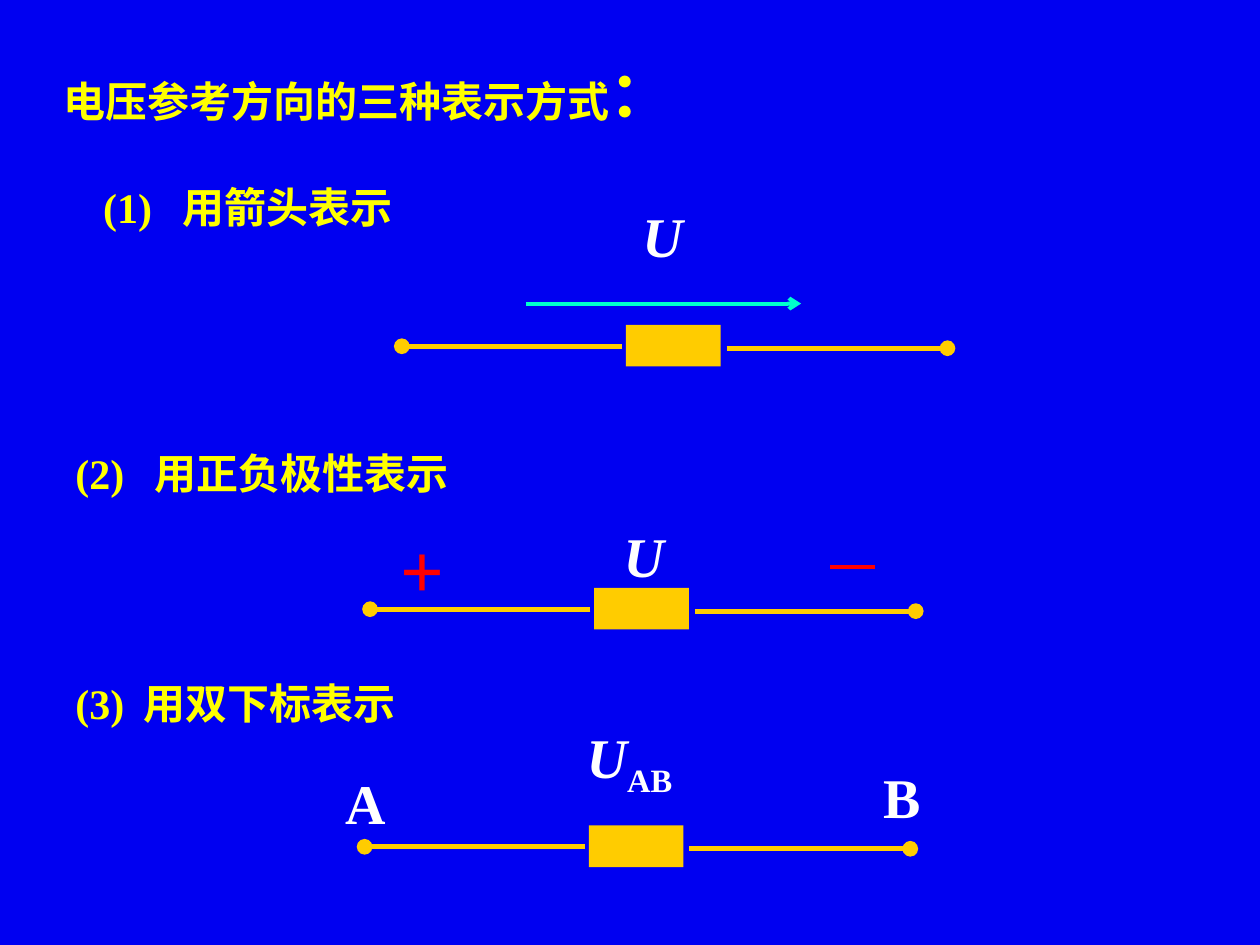
import pptx
import pptx.dml.color
import pptx.enum.shapes
import pptx.enum.text
import pptx.oxml.ns
import pptx.oxml.xmlchemy
import pptx.util
import lxml.etree

Cm = pptx.util.Cm
Pt = pptx.util.Pt
RGBColor = pptx.dml.color.RGBColor
PP_ALIGN = pptx.enum.text.PP_ALIGN
qn = pptx.oxml.ns.qn

BLUE = RGBColor(0x00, 0x00, 0xF1)
YELLOW = RGBColor(0xFF, 0xFF, 0x00)
GOLD = RGBColor(0xFF, 0xCC, 0x00)
CYAN = RGBColor(0x00, 0xFF, 0xCC)
RED = RGBColor(0xFF, 0x00, 0x00)
WHITE = RGBColor(0xFF, 0xFF, 0xFF)


class CircuitSlide:
    """Holds the style and the slide, and draws each kind of element on it."""

    font_name = "Times New Roman"

    def __init__(self, slide):
        self.slide = slide
        fill = slide.background.fill
        fill.solid()
        fill.fore_color.rgb = BLUE

    def text(self, box, words, size, color, wrap=False):
        left, top, width, height = (Cm(length) for length in box)
        frame = self.slide.shapes.add_textbox(left, top, width, height).text_frame
        frame.word_wrap = wrap
        frame.auto_size = pptx.enum.text.MSO_AUTO_SIZE.SHAPE_TO_FIT_TEXT
        frame.vertical_anchor = pptx.enum.text.MSO_ANCHOR.MIDDLE
        frame.text = words
        paragraph = frame.paragraphs[0]
        paragraph.alignment = PP_ALIGN.CENTER
        self.style(paragraph.runs[0], size, color)
        return paragraph

    def style(self, run, size, color):
        run.font.name = self.font_name
        run.font.size = Pt(size)
        run.font.bold = True
        run.font.color.rgb = color

    def heading(self, box, number, words, margin, hang):
        paragraph = self.text(box, f"{number}\t{words}", 24, YELLOW, wrap=True)
        paragraph.alignment = PP_ALIGN.LEFT
        properties = paragraph._p.get_or_add_pPr()
        properties.set("marL", str(Cm(margin)))
        properties.set("indent", str(-Cm(hang)))

    def voltage(self, box, subscript=""):
        paragraph = self.text(box, "U", 32, WHITE)
        paragraph.runs[0].font.italic = True
        if subscript:
            index = paragraph.add_run()
            index.text = subscript
            self.style(index, 32, WHITE)
            index.font._element.set("baseline", "-25000")

    def line(self, start, end, color, width, ending=None):
        connector = self.slide.shapes.add_connector(
            pptx.enum.shapes.MSO_CONNECTOR.STRAIGHT,
            Cm(start[0]), Cm(start[1]), Cm(end[0]), Cm(end[1]))
        connector.line.color.rgb = color
        connector.line.width = Pt(width)
        if ending:
            outline = connector.line._get_or_add_ln()
            lxml.etree.SubElement(outline, qn("a:tailEnd"), type=ending)
        lxml.etree.SubElement(connector._element.spPr, qn("a:effectLst"))

    def resistor(self, left, top):
        body = self.slide.shapes.add_shape(
            pptx.enum.shapes.MSO_SHAPE.RECTANGLE,
            Cm(left), Cm(top), Cm(1.91), Cm(0.84))
        body.shadow.inherit = False
        body.fill.solid()
        body.fill.fore_color.rgb = GOLD
        body.line.fill.background()
        for inner, outer, drop in ((-0.08, -4.52, 0.43), (2.03, 6.48, 0.47)):
            level = top + drop
            self.line((left + inner, level), (left + outer, level), GOLD, 3, "oval")


def main():
    presentation = pptx.Presentation()
    presentation.slide_width = Cm(25.4)
    presentation.slide_height = Cm(19.05)
    page = CircuitSlide(presentation.slides.add_slide(presentation.slide_layouts[6]))

    title = page.text((0.99, 0.97, 12.85, 1.78), "电压参考方向的三种表示方式", 24, YELLOW)
    colon = title.add_run()
    colon.text = "："
    page.style(colon, 36, YELLOW)

    page.heading((1.09, 3.53, 7.8, 1.27), "(1)", "用箭头表示", 2.34, 1.6)
    page.heading((1.27, 8.89, 9.04, 1.27), "(2)", "用正负极性表示", 1.6, 1.6)
    page.heading((1.27, 13.54, 8.03, 1.27), "(3)", "用双下标表示", 1.38, 1.38)

    for left, top in ((12.62, 6.55), (11.98, 11.85), (11.87, 16.64)):
        page.resistor(left, top)

    page.line((10.6, 6.12), (16.15, 6.12), CYAN, 2.25, "arrow")
    page.voltage((12.7, 3.94, 1.32, 1.6))

    page.voltage((12.32, 10.39, 1.32, 1.6))
    page.text((7.82, 10.39, 1.4, 2.11), "+", 44, RED)
    page.line((16.74, 11.43), (17.64, 11.43), RED, 2.25)

    page.text((6.71, 15.37, 1.32, 1.6), "A", 32, WHITE)
    page.text((17.55, 15.24, 1.27, 1.6), "B", 32, WHITE)
    page.voltage((11.51, 14.53, 2.36, 1.6), "AB")

    presentation.save("out.pptx")


if __name__ == "__main__":
    main()
